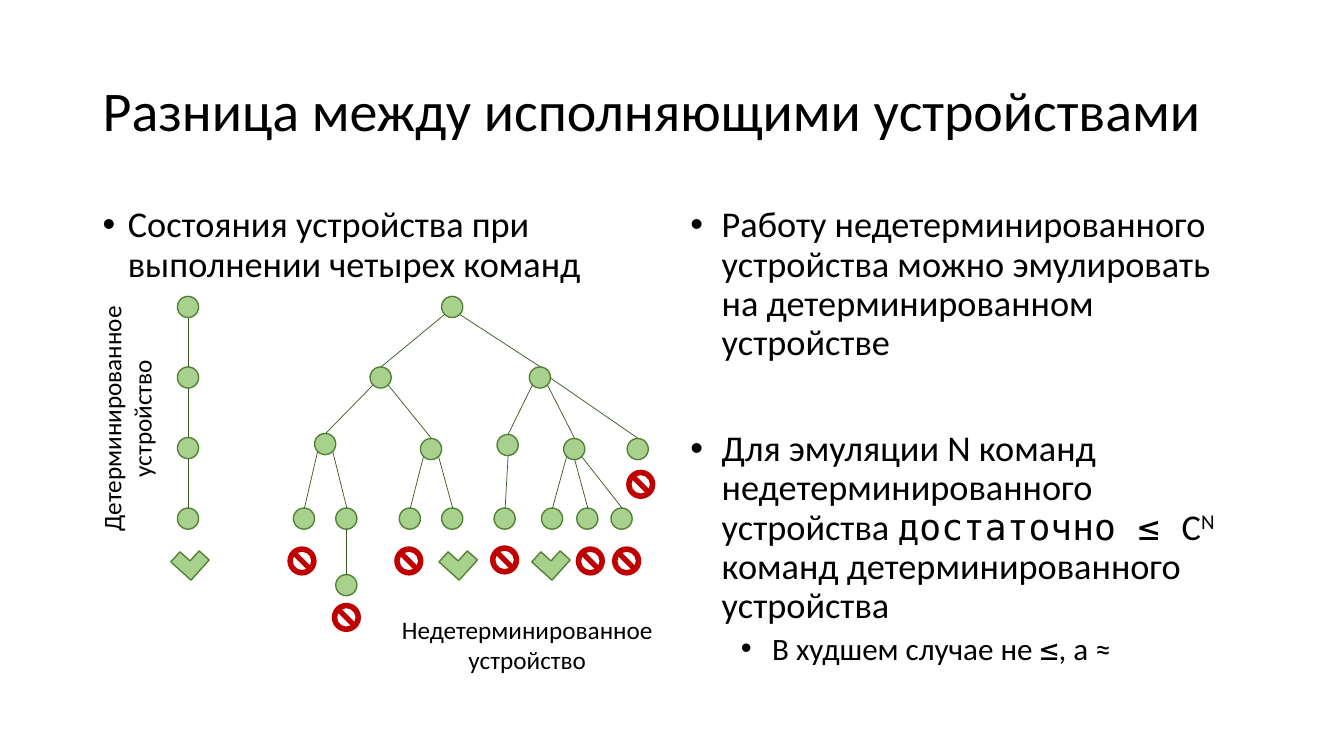
from lxml.etree import SubElement
from pptx import Presentation
from pptx.dml.color import RGBColor
from pptx.enum.shapes import MSO_CONNECTOR, MSO_SHAPE
from pptx.enum.text import MSO_ANCHOR, MSO_AUTO_SIZE, PP_ALIGN
from pptx.oxml.ns import qn
from pptx.util import Emu, Pt

EMU_PER_PX = 9144
TEXT_FONT = "Calibri"
MATH_FONT = "DejaVu Sans Mono"
BLACK, GREEN, DARK_GREEN, EDGE_GREEN, RED = "000000", "A9D18E", "548235", "385723", "C00000"
NODE_SIZE, STOP_SIZE, CHECK_SIZE = 21, 29, 27
NODE_TOP = (11, 0)
EXITS = {"left": (3, 18), "down": (11, 21), "right": (18, 18), "side": (21, 11)}

DETERMINISTIC_NODES = {f"step{i}": (176, 294 + 70 * i) for i in range(4)}
DETERMINISTIC_EDGES = [(f"step{i}", "down", f"step{i + 1}") for i in range(3)]

TREE_NODES = {
    "root": (438, 294),
    "a": (367, 364), "b": (525, 364),
    "aa": (312, 430), "ab": (417, 435),
    "ba": (493, 431), "bb": (559, 435), "bc": (622, 435),
    "aaa": (291, 504), "aab": (333, 504), "aba": (396, 504), "abb": (438, 504),
    "baa": (490, 504), "bba": (537, 504), "bbb": (572, 504), "bbc": (606, 504),
    "aaba": (333, 570),
}
TREE_EDGES = [
    ("root", "left", "a"), ("root", "right", "b"),
    ("a", "left", "aa"), ("a", "right", "ab"),
    ("b", "left", "ba"), ("b", "right", "bb"), ("b", "side", "bc"),
    ("aa", "left", "aaa"), ("aa", "right", "aab"),
    ("ab", "left", "aba"), ("ab", "right", "abb"),
    ("ba", "down", "baa"),
    ("bb", "left", "bba"), ("bb", "down", "bbb"), ("bb", "right", "bbc"),
    ("aab", "down", "aaba"),
]
TREE_STOPS = [(285, 542), (329, 598), (391, 542), (486, 541), (571, 542), (607, 542), (621, 466)]
TREE_CHECKS = [(441, 543), (533, 543)]


def px(*lengths):
    """Turn pixel lengths into EMU."""
    return [Emu(round(length * EMU_PER_PX)) for length in lengths]


def color(hex_code):
    """Turn a hex string into a colour."""
    return RGBColor.from_string(hex_code)


def add_text_frame(slide, left, top, width, height, rotation=0):
    """Add a wrapping text box and return its frame."""
    box = slide.shapes.add_textbox(*px(left, top, width, height))
    box.rotation = rotation
    box.text_frame.word_wrap = True
    return box.text_frame


def format_run(run, size, font=TEXT_FONT, superscript=False):
    """Set the size, typeface and baseline of a run."""
    run.font.size = Pt(size)
    run.font.name = font
    run.font.color.rgb = color(BLACK)
    if superscript:
        run.font._element.set("baseline", "30000")


def add_title(slide, text):
    """Add the slide heading."""
    frame = add_text_frame(slide, 92, 40, 1150, 145)
    frame.vertical_anchor = MSO_ANCHOR.MIDDLE
    frame.text = text
    frame.paragraphs[0].line_spacing = 0.9
    format_run(frame.paragraphs[0].runs[0], 40)


def add_caption(slide, text, left, top, width, rotation=0):
    """Add a centred caption of a diagram."""
    frame = add_text_frame(slide, left, top, width, 71, rotation)
    frame.auto_size = MSO_AUTO_SIZE.SHAPE_TO_FIT_TEXT
    frame.text = text
    frame.paragraphs[0].alignment = PP_ALIGN.CENTER
    format_run(frame.paragraphs[0].runs[0], 18)


def fill_bullet(paragraph, pieces, hanging, size=25.9, margin=None, level=0, before=0):
    """Fill a bulleted paragraph with (text, font, superscript) pieces."""
    paragraph.level = level
    paragraph.line_spacing = 0.9
    paragraph.space_before = Pt(before)
    properties = paragraph._p.get_or_add_pPr()
    properties.set("marL", str(px(margin or hanging)[0]))
    properties.set("indent", str(px(-hanging)[0]))
    SubElement(properties, qn("a:buFont")).set("typeface", "Arial")
    SubElement(properties, qn("a:buChar")).set("char", "•")
    for text, font, superscript in pieces:
        run = paragraph.add_run()
        run.text = text
        format_run(run, size, font, superscript)


def add_mark(group, preset, position, size, fill, outline=None, rotation=0):
    """Add a square preset shape to a diagram."""
    mark = group.shapes.add_shape(preset, *px(*position, size, size))
    mark.shadow.inherit = False
    mark.rotation = rotation
    mark.fill.solid()
    mark.fill.fore_color.rgb = color(fill)
    if outline:
        mark.line.color.rgb = color(outline)
        mark.line.width = Pt(1)
    else:
        mark.line.fill.background()


def add_edge(group, parent, exit_side, child):
    """Join the top of a child state to a side of its parent."""
    start = [a + b for a, b in zip(child, NODE_TOP)]
    end = [a + b for a, b in zip(parent, EXITS[exit_side])]
    edge = group.shapes.add_connector(MSO_CONNECTOR.STRAIGHT, *px(*start, *end))
    edge.line.color.rgb = color(EDGE_GREEN)
    edge.line.width = Pt(0.5)
    SubElement(edge._element.spPr, qn("a:effectLst"))


def add_diagram(slide, nodes, edges, checks, stops=()):
    """Add a grouped diagram of states, transitions and outcomes."""
    group = slide.shapes.add_group_shape()
    for position in nodes.values():
        add_mark(group, MSO_SHAPE.OVAL, position, NODE_SIZE, GREEN, DARK_GREEN)
    for parent, exit_side, child in edges:
        add_edge(group, nodes[parent], exit_side, nodes[child])
    for position in stops:
        add_mark(group, MSO_SHAPE.NO_SYMBOL, position, STOP_SIZE, RED)
    for position in checks:
        add_mark(group, MSO_SHAPE.CORNER, position, CHECK_SIZE, GREEN, DARK_GREEN, 312.1)


def main():
    """Build the slide and save it."""
    deck = Presentation()
    deck.slide_width, deck.slide_height = px(1333, 750)
    slide = deck.slides.add_slide(deck.slide_layouts[6])

    add_title(slide, "Разница между исполняющими устройствами")
    states = add_text_frame(slide, 92, 200, 567, 476)
    fill_bullet(states.paragraphs[0], [
        ("Состояния устройства при выполнении четырех команд", TEXT_FONT, False)], 25)

    emulation = add_text_frame(slide, 675, 200, 567, 476)
    fill_bullet(emulation.paragraphs[0], [
        ("Работу недетерминированного устройства можно эмулировать "
         "на детерминированном устройстве", TEXT_FONT, False)], 31)
    fill_bullet(emulation.add_paragraph(), [
        ("Для эмуляции N команд недетерминированного устройства ", TEXT_FONT, False),
        ("достаточно ≤ ", MATH_FONT, False),
        ("C", TEXT_FONT, False),
        ("N ", TEXT_FONT, True),
        ("команд детерминированного устройства", TEXT_FONT, False)], 31, before=48)
    fill_bullet(emulation.add_paragraph(), [
        ("В худшем случае не ", TEXT_FONT, False),
        ("≤", MATH_FONT, False),
        (", а ≈", TEXT_FONT, False)], 31, size=22.2, margin=81, level=1, before=5)

    add_caption(slide, "Детерминированное устройство", 4, 380, 244, 270)
    add_caption(slide, "Недетерминированное устройство", 388, 604, 270)
    add_diagram(slide, DETERMINISTIC_NODES, DETERMINISTIC_EDGES, [(175, 543)])
    add_diagram(slide, TREE_NODES, TREE_EDGES, TREE_CHECKS, TREE_STOPS)
    deck.save("out.pptx")


if __name__ == "__main__":
    main()
